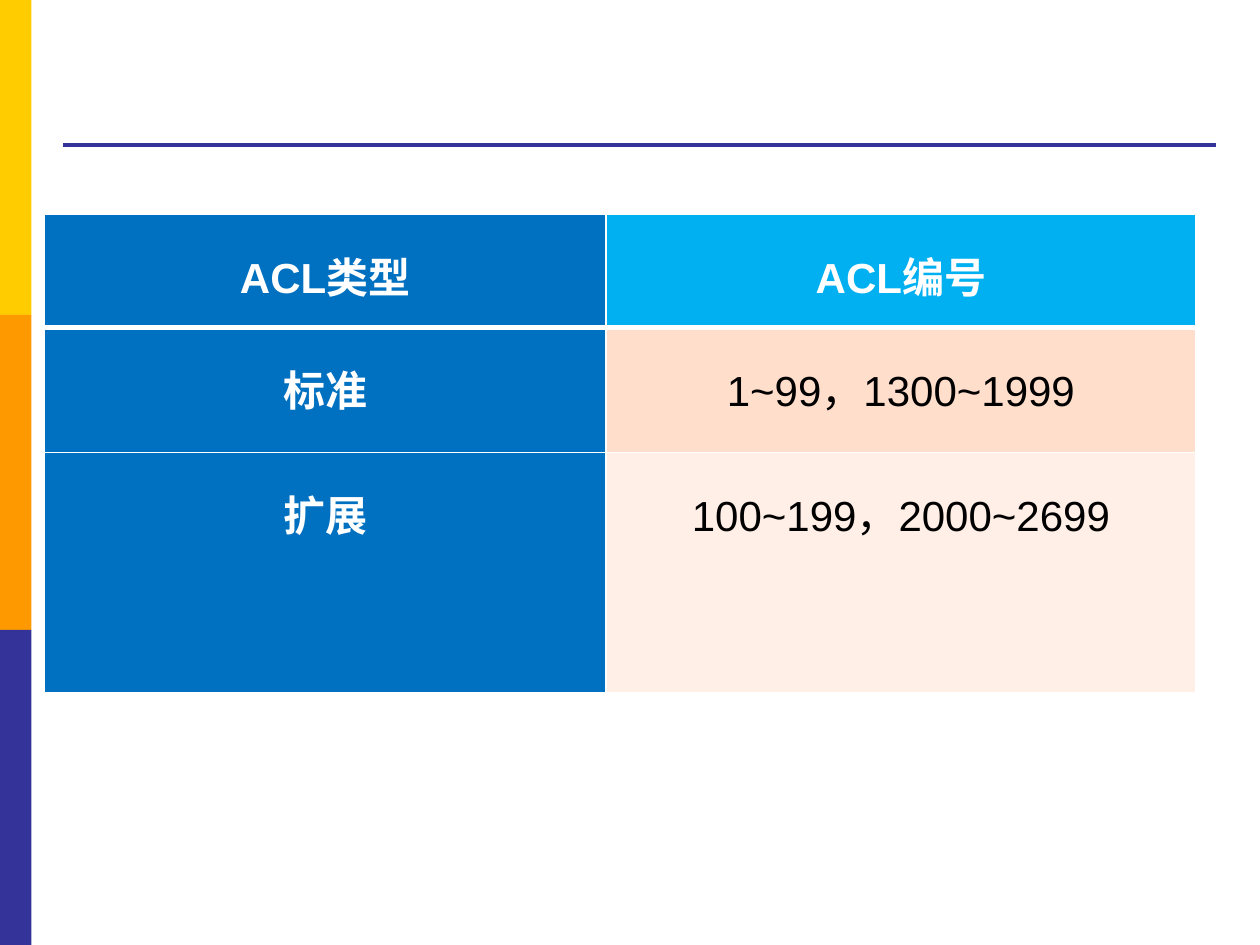
from lxml import etree
from pptx import Presentation
from pptx.dml.color import RGBColor
from pptx.enum.shapes import MSO_CONNECTOR, MSO_SHAPE
from pptx.enum.text import MSO_ANCHOR, PP_ALIGN
from pptx.oxml.ns import qn
from pptx.util import Inches, Pt

RECT = MSO_SHAPE.RECTANGLE
STRAIGHT = MSO_CONNECTOR.STRAIGHT
TOP = MSO_ANCHOR.TOP
CENTER = PP_ALIGN.CENTER

COLORS = {
    "yellow": "FFCC00", "orange": "FF9900", "navy": "333399",
    "blue": "0070C0", "sky": "00B0F0", "peach": "FFDECC", "cream": "FFEFE7",
    "white": "FFFFFF", "black": "000000",
}
COL_WIDTHS = [4.46, 4.68]
ROW_HEIGHTS = [0.9, 0.99, 1.91]
ACL_ROWS = [
    ("ACL类型", "ACL编号"),
    ("标准", "1~99，1300~1999"),
    ("扩展", "100~199，2000~2699"),
]
VALUE_FILLS = ["sky", "peach", "cream"]


def rgb(name):
    """Return the palette colour with this name."""
    return RGBColor.from_string(COLORS[name])


def write(tf, text, size=24, color="white", bold=True, font="Arial"):
    """Write one centred, formatted line of text."""
    p = tf.paragraphs[0]
    p.alignment = CENTER
    p.line_spacing = 1.5
    r = p.add_run()
    r.text = text
    r.font.name = font
    r.font.size = Pt(size)
    r.font.bold = bold
    r.font.color.rgb = rgb(color)


def add_border(cell, side, width, color="white"):
    """Draw one side of a cell's border."""
    ln = etree.SubElement(cell._tc.get_or_add_tcPr(), qn(f"a:ln{side}"), w=str(Pt(width)))
    fill = etree.SubElement(ln, qn("a:solidFill"))
    etree.SubElement(fill, qn("a:srgbClr"), val=COLORS[color])


def add_sidebar(s, x, y, w, h):
    """Stack equal colour bands down the box."""
    bands = ["yellow", "orange", "navy"]
    band_h = h / len(bands)
    for i, color in enumerate(bands):
        sp = s.shapes.add_shape(RECT, Inches(x), Inches(y + i * band_h), Inches(w), Inches(band_h))
        sp.shadow.inherit = False
        sp.fill.solid()
        sp.fill.fore_color.rgb = rgb(color)
        sp.line.fill.background()


def add_rule(s, x, y, w):
    """Draw the horizontal rule under the title area."""
    line = s.shapes.add_connector(STRAIGHT, Inches(x), Inches(y), Inches(x + w), Inches(y))
    line.line.color.rgb = rgb("navy")
    line.line.width = Pt(2.25)
    etree.SubElement(line._element.spPr, qn("a:effectLst"))


def add_acl_table(s, x, y, w, h):
    """Add the table of ACL types and their number ranges."""
    table = s.shapes.add_table(len(ACL_ROWS), len(COL_WIDTHS),
                               Inches(x), Inches(y), Inches(w), Inches(h)).table
    for col, width in zip(table.columns, COL_WIDTHS):
        col.width = Inches(width)
    for row, height in zip(table.rows, ROW_HEIGHTS):
        row.height = Inches(height)
    for i, texts in enumerate(ACL_ROWS):
        for j, text in enumerate(texts):
            cell = table.cell(i, j)
            cell.margin_left = cell.margin_right = Inches(0.07)
            cell.margin_top = cell.margin_bottom = 0
            cell.vertical_anchor = TOP
            for side in "LRTB":
                heavy = (i, side) in [(0, "B"), (1, "T")]
                add_border(cell, side, 3 if heavy else 1)
            cell.fill.solid()
            cell.fill.fore_color.rgb = rgb(VALUE_FILLS[i] if j else "blue")
            value = i > 0 and j > 0
            write(cell.text_frame, text, color="black" if value else "white", bold=not value)


def main():
    """Build and save the slide."""
    prs = Presentation()
    prs.slide_width, prs.slide_height = Inches(10), Inches(7.5)
    s = prs.slides.add_slide(prs.slide_layouts[6])
    add_sidebar(s, 0, 0, 0.25, 7.5)
    add_rule(s, 0.5, 1.15, 9.15)
    add_acl_table(s, 0.35, 1.7, sum(COL_WIDTHS), sum(ROW_HEIGHTS))
    prs.save("out.pptx")


if __name__ == "__main__":
    main()
